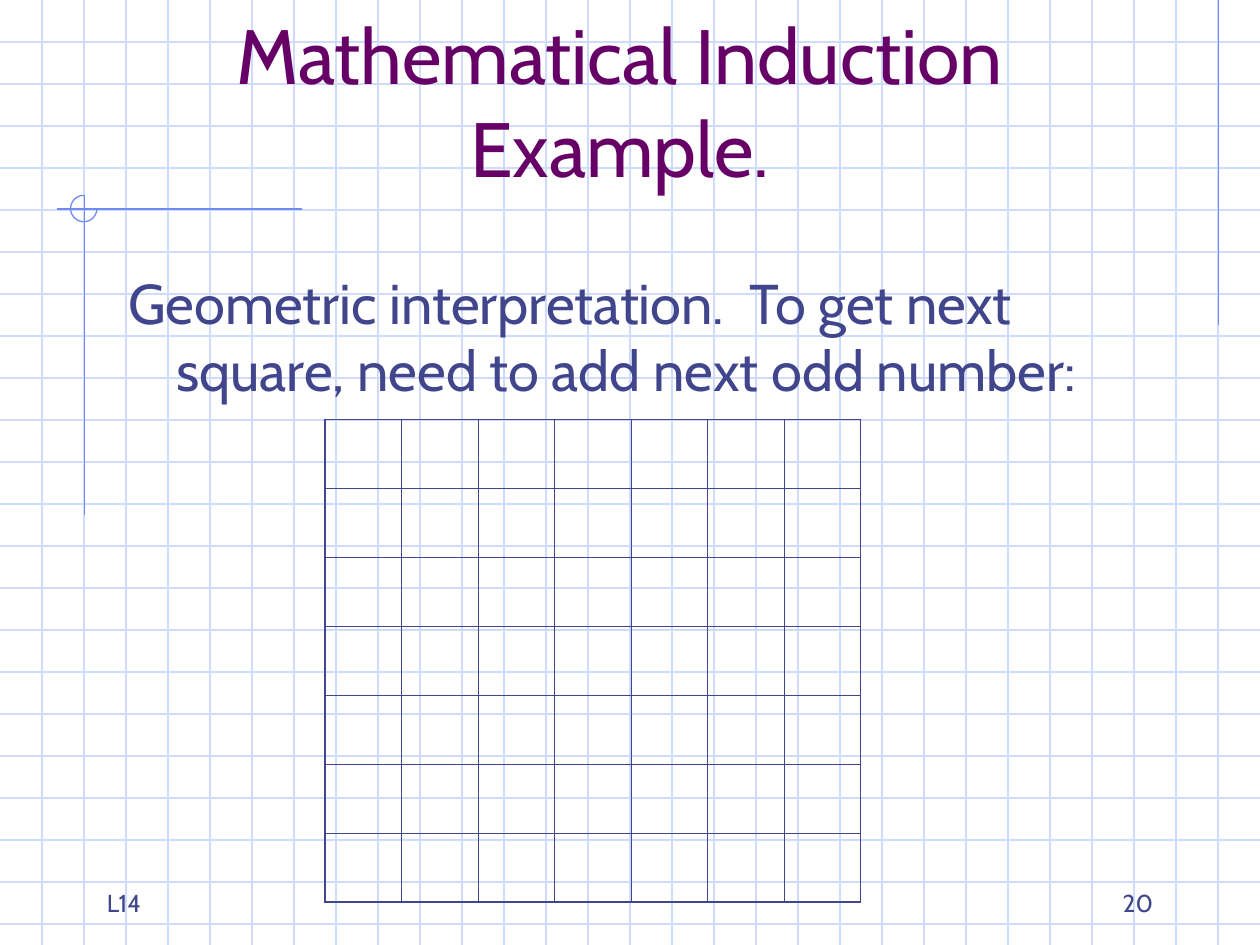
import pptx
import pptx.util
import pptx.dml.color
import pptx.enum.shapes
import pptx.enum.text
import lxml.etree

Inches = pptx.util.Inches
Pt = pptx.util.Pt
Align = pptx.enum.text.PP_ALIGN
Anchor = pptx.enum.text.MSO_ANCHOR
INK, PALE, BLUE, PLUM = "40458C", "CFDBFD", "6F89F7", "660066"
NS = "http://schemas.openxmlformats.org/drawingml/2006/main"


def paint(color, code):
    """Set a colour format to a hex colour."""
    color.rgb = pptx.dml.color.RGBColor.from_string(code)


def rule(x1, y1, x2, y2, code):
    """Draw a thin straight line without a shadow."""
    line = slide.shapes.add_connector(
        pptx.enum.shapes.MSO_CONNECTOR.STRAIGHT,
        Inches(x1), Inches(y1), Inches(x2), Inches(y2))
    paint(line.line.color, code)
    line.line.width = Pt(0.74)
    lxml.etree.SubElement(line._element.spPr, f"{{{NS}}}effectLst")


deck = pptx.Presentation()
deck.slide_width, deck.slide_height = Inches(10), Inches(7.5)
slide = deck.slides.add_slide(deck.slide_layouts[5])
slide.background.fill.solid()
paint(slide.background.fill.fore_color, "FFFFFF")

# Graph paper
for step in range(1, 23):
    rule(0, step / 3, 10, step / 3, PALE)
for step in range(1, 30):
    rule(step / 3, 0, step / 3, 7.5, PALE)

# Accent lines and arc
rule(9.67, 0, 9.67, 2.58, BLUE)
rule(2.4, 1.66, 0.45, 1.66, BLUE)
rule(0.67, 1.55, 0.67, 4.09, BLUE)
arc = slide.shapes.add_shape(
    pptx.enum.shapes.MSO_SHAPE.ARC,
    Inches(0.56), Inches(1.55), Inches(0.21), Inches(0.21))
arc.adjustments[0] = 0
arc.adjustments[1] = 162  # 270 degrees
arc.shadow.inherit = False
arc.fill.background()
paint(arc.line.color, BLUE)
arc.line.width = Pt(0.74)

# Title and text
title = slide.shapes.title
slide.shapes._spTree.append(title._element)
texts = [
    (title, "Mathematical Induction\vExample.", (0.67, 0.33, 8.5, 1.25),
     44, PLUM, Align.CENTER, Anchor.BOTTOM),
    (None, "Geometric interpretation.  To get next square, "
     "need to add next odd number:", (0.92, 2.08, 8.5, 4.5),
     32, INK, Align.LEFT, Anchor.TOP),
    (None, "20", (7.17, 6.83, 2.08, 0.5), 14, INK, Align.RIGHT, Anchor.BOTTOM),
    (None, "L14", (0.75, 6.83, 2.08, 0.5), 14, INK, Align.LEFT, Anchor.BOTTOM),
]
for box, words, place, size, code, align, anchor in texts:
    left, top, width, height = map(Inches, place)
    if box is None:
        box = slide.shapes.add_textbox(left, top, width, height)
    box.left, box.top, box.width, box.height = left, top, width, height
    frame = box.text_frame
    frame.text = words
    frame.word_wrap = True
    frame.auto_size = pptx.enum.text.MSO_AUTO_SIZE.NONE
    frame.vertical_anchor = anchor
    para = frame.paragraphs[0]
    para.alignment = align
    para.font.name = "Cabin"
    para.font.size = Pt(size)
    paint(para.font.color, code)
    if size == 32:
        para.space_before = Pt(8)
        props = para._p.get_or_add_pPr()
        props.set("marL", str(Inches(0.38)))
        props.set("indent", str(Inches(-0.38)))

# Square of unit cells
count = 7
grid = slide.shapes.add_table(
    count, count, Inches(2.58), Inches(3.33), Inches(4.25), Inches(3.83)).table
grid.first_row = grid.horz_banding = False
for row in range(count):
    for col in range(count):
        cell = grid.cell(row, col)
        cell.fill.background()
        props = cell._tc.get_or_add_tcPr()
        edges = [("lnL", col == 0), ("lnR", col == count - 1),
                 ("lnT", row == 0), ("lnB", row == count - 1)]
        for spot, (tag, outer) in enumerate(edges):
            edge = lxml.etree.Element(f"{{{NS}}}{tag}")
            edge.set("w", str(Pt(1.08 if outer else 0.45)))
            fill = lxml.etree.SubElement(edge, f"{{{NS}}}solidFill")
            lxml.etree.SubElement(fill, f"{{{NS}}}srgbClr", val=INK)
            props.insert(spot, edge)

deck.save("out.pptx")
